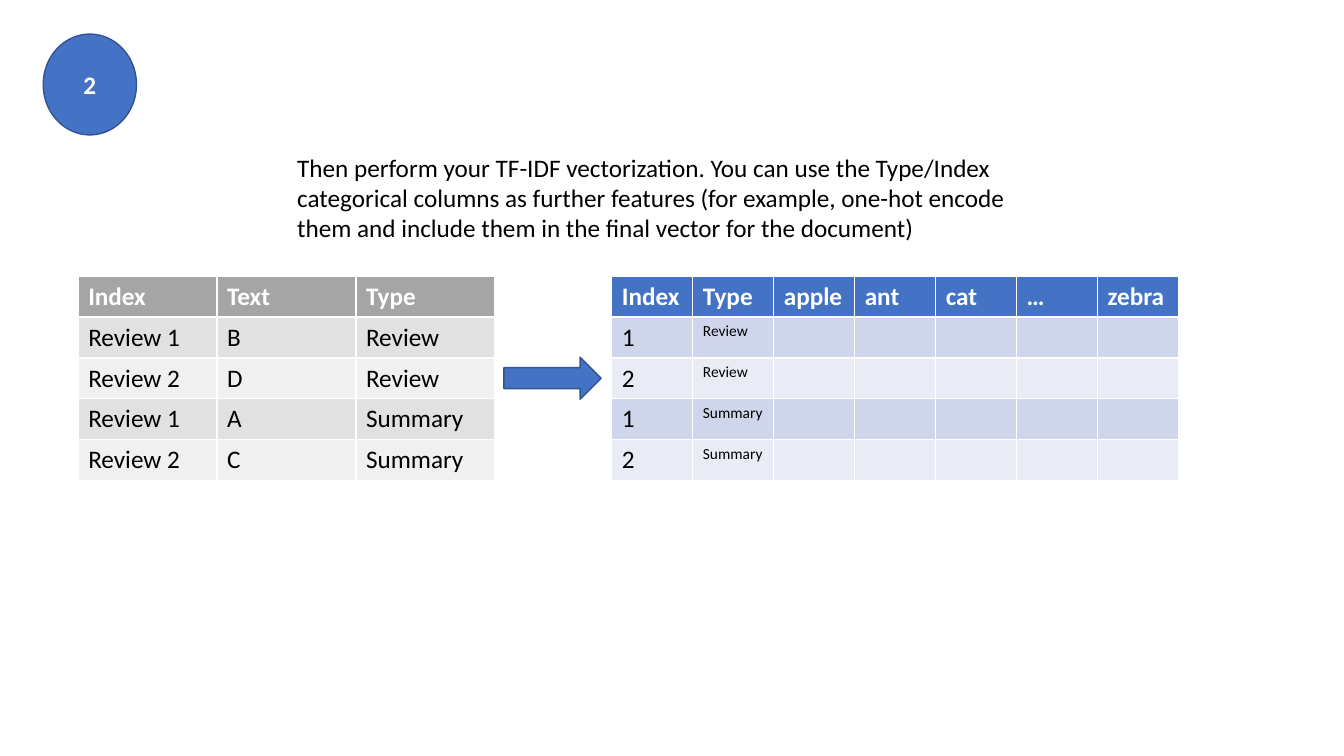
"""Build the slide on TF-IDF vectorization with categorical columns."""
from pptx import Presentation
from pptx import util as u
from pptx.dml.color import RGBColor
from pptx.enum import shapes, text

WHITE = RGBColor(0xFF, 0xFF, 0xFF)
BLACK = RGBColor(0x00, 0x00, 0x00)
BLUE = RGBColor(0x44, 0x72, 0xC4)
DARK_BLUE = RGBColor(0x32, 0x54, 0x91)
BLUE_BAND = RGBColor(0xCF, 0xD5, 0xEA)
PALE_BLUE_BAND = RGBColor(0xE9, 0xEB, 0xF5)
GRAY = RGBColor(0xA5, 0xA5, 0xA5)
GRAY_BAND = RGBColor(0xE1, 0xE1, 0xE1)
PALE_GRAY_BAND = RGBColor(0xF0, 0xF0, 0xF0)


def write(frame, content, size=18, color=BLACK, bold=False, align=None):
    paragraph = frame.paragraphs[0]
    paragraph.alignment = align
    run = paragraph.add_run()
    run.text = content
    run.font.name = "Calibri"
    run.font.size = u.Pt(size)
    run.font.color.rgb = color
    run.font.bold = bold


presentation = Presentation()
presentation.slide_width = u.Cm(33.87)
presentation.slide_height = u.Cm(19.05)
slide = presentation.slides.add_slide(presentation.slide_layouts[6])

review_rows = [
    ["Index", "Text", "Type"],
    ["Review 1", "B", "Review"],
    ["Review 2", "D", "Review"],
    ["Review 1", "A", "Summary"],
    ["Review 2", "C", "Summary"],
]
words = ["apple", "ant", "cat", "…", "zebra"]
no_values = [""] * len(words)
vector_rows = [
    ["Index", "Type", *words],
    ["1", "Review", *no_values],
    ["2", "Review", *no_values],
    ["1", "Summary", *no_values],
    ["2", "Summary", *no_values],
]
tables = [
    (review_rows, 1.97, 3.5, 18, GRAY, [GRAY_BAND, PALE_GRAY_BAND]),
    (vector_rows, 15.42, 2.04, 11, BLUE, [BLUE_BAND, PALE_BLUE_BAND]),
]
row_height = 1.03
for rows, left, column_width, type_size, header_fill, bands in tables:
    column_count = len(rows[0])
    table = slide.shapes.add_table(
        len(rows), column_count, u.Cm(left), u.Cm(6.96),
        u.Cm(column_width * column_count), u.Cm(row_height * len(rows))).table
    for column in table.columns:
        column.width = u.Cm(column_width)
    for row_index, row in enumerate(rows):
        table.rows[row_index].height = u.Cm(row_height)
        is_header = row_index == 0
        for column_index, content in enumerate(row):
            cell = table.cell(row_index, column_index)
            cell.fill.solid()
            cell.fill.fore_color.rgb = header_fill if is_header else bands[(row_index - 1) % 2]
            is_type = rows[0][column_index] == "Type"
            if content:
                write(cell.text_frame, content, bold=is_header,
                      size=type_size if is_type and not is_header else 18,
                      color=WHITE if is_header else BLACK)

blue_shapes = [
    (shapes.MSO_SHAPE.RIGHT_ARROW, 12.7, 9, 2.45, 1.06, ""),
    (shapes.MSO_SHAPE.OVAL, 1.09, 0.86, 2.35, 2.54, "2"),
]
for kind, left, top, width, height, label in blue_shapes:
    shape = slide.shapes.add_shape(kind, u.Cm(left), u.Cm(top), u.Cm(width), u.Cm(height))
    shape.shadow.inherit = False
    shape.fill.solid()
    shape.fill.fore_color.rgb = BLUE
    shape.line.color.rgb = DARK_BLUE
    shape.line.width = u.Pt(1)
    if label:
        shape.text_frame.vertical_anchor = text.MSO_ANCHOR.MIDDLE
        write(shape.text_frame, label, color=WHITE, bold=True, align=text.PP_ALIGN.CENTER)

explanation = slide.shapes.add_textbox(u.Cm(7.24), u.Cm(3.71), u.Cm(19.38), u.Cm(2.57))
explanation.text_frame.word_wrap = True
explanation.text_frame.auto_size = text.MSO_AUTO_SIZE.SHAPE_TO_FIT_TEXT
write(explanation.text_frame,
      "Then perform your TF-IDF vectorization. You can use the Type/Index categorical "
      "columns as further features (for example, one-hot encode them and include them "
      "in the final vector for the document)")

presentation.save("out.pptx")
